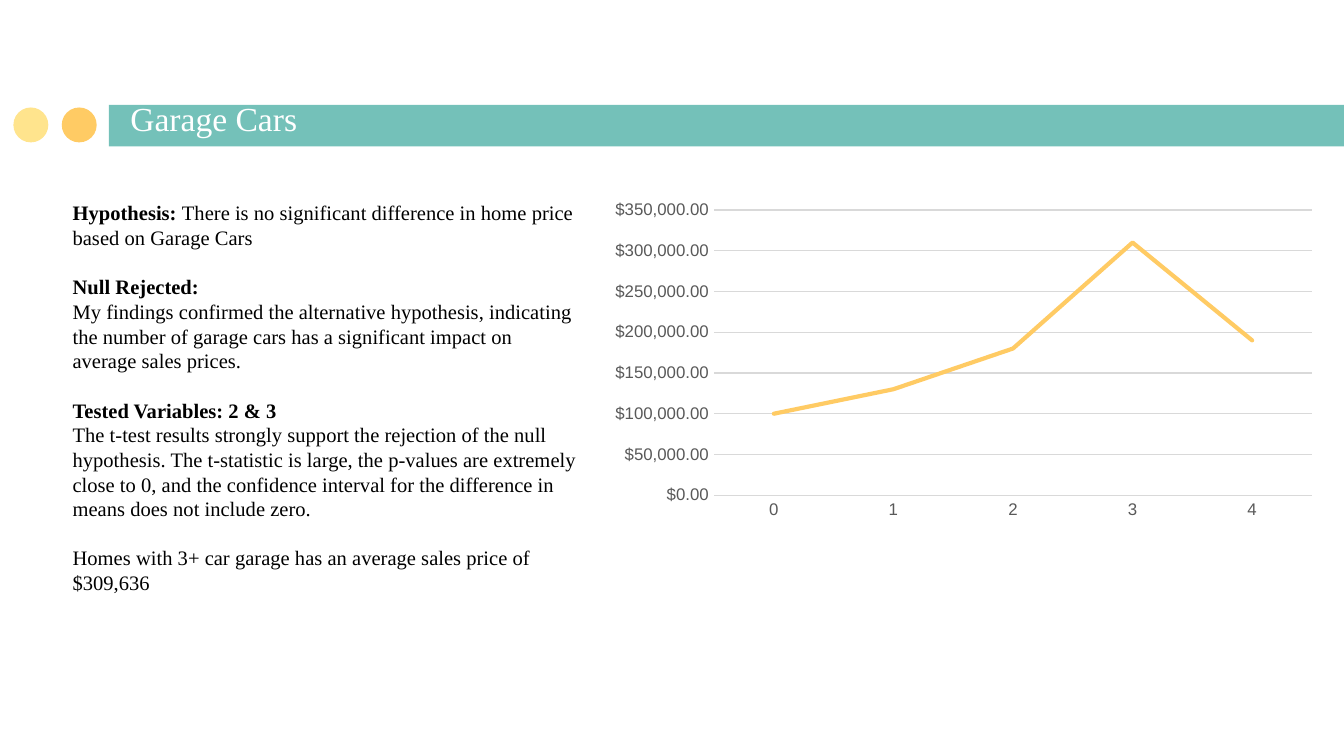
from lxml import etree
from pptx import Presentation
from pptx import util as u
from pptx.chart.data import CategoryChartData
from pptx.dml.color import RGBColor
from pptx.enum import chart as charts, shapes, text
from pptx.oxml.ns import qn

FINDINGS = [  # (heading, text, starts a new section)
    ("Hypothesis: ", "There is no significant difference in home price based on Garage Cars", False),
    ("Null Rejected:", "", True),
    ("", "My findings confirmed the alternative hypothesis, indicating the number of "
         "garage cars has a significant impact on average sales prices.", False),
    ("Tested Variables: 2 & 3", "", True),
    ("", "The t-test results strongly support the rejection of the null hypothesis. "
         "The t-statistic is large, the p-values are extremely close to 0, and the "
         "confidence interval for the difference in means does not include zero.", False),
    ("", "Homes with 3+ car garage has an average sales price of $309,636", True),
]
PRICES = {"0": 100000, "1": 130000, "2": 180000, "3": 310000, "4": 190000}


def color(value):
    return RGBColor.from_string(value)


class SlideBuilder:
    serif, sans = "Times New Roman", "Arial"
    teal, amber, yellow = "74C1B9", "FFCB64", "FFE48D"
    white, black, gray, rule = "FFFFFF", "000000", "595959", "D9D9D9"
    line_height = u.Pt(13.2)

    def __init__(self, slide):
        self.slide = slide

    def place(self, shape, left, top, width, height):
        shape.left, shape.top = u.Inches(left), u.Inches(top)
        shape.width, shape.height = u.Inches(width), u.Inches(height)

    def style(self, font, name, size, fill, bold=False):
        font.name, font.size, font.bold = name, u.Pt(size), bold
        font.color.rgb = color(fill)

    def band_shape(self, kind, left, top, width, height, fill):
        """Add a plain filled shape behind the title."""
        shape = self.slide.shapes.add_shape(kind, *map(u.Inches, (left, top, width, height)))
        shape.fill.solid()
        shape.fill.fore_color.rgb = color(fill)
        shape.line.fill.background()
        shape.shadow.inherit = False
        self.slide.shapes.title.element.addprevious(shape.element)

    def title(self, wording, *area):
        box = self.slide.shapes.title
        self.place(box, *area)
        frame = box.text_frame
        frame.text = wording
        frame.auto_size = text.MSO_AUTO_SIZE.NONE
        frame.vertical_anchor = text.MSO_ANCHOR.BOTTOM
        frame.margin_left = frame.margin_right = u.Inches(0.1)
        frame.margin_top = frame.margin_bottom = u.Inches(0.1)
        para = frame.paragraphs[0]
        para.alignment = text.PP_ALIGN.LEFT
        self.style(para.runs[0].font, self.serif, 18, self.white)

    def body(self, findings, *area):
        box = self.slide.placeholders[1]
        self.place(box, *area)
        frame = box.text_frame
        frame.auto_size = text.MSO_AUTO_SIZE.NONE
        frame.vertical_anchor = text.MSO_ANCHOR.TOP
        for index, (heading, wording, new_section) in enumerate(findings):
            para = frame.add_paragraph() if index else frame.paragraphs[0]
            para.line_spacing = self.line_height
            para.space_before = self.line_height if new_section else u.Pt(0)
            self.remove_bullet(para)
            for part, bold in ((heading, True), (wording, False)):
                if part:
                    span = para.add_run()
                    span.text = part
                    self.style(span.font, self.serif, 11, self.black, bold)

    def remove_bullet(self, para):
        properties = para._p.get_or_add_pPr()
        properties.set("marL", "0")
        properties.set("indent", "0")
        etree.SubElement(properties, qn("a:buNone"))

    def line_chart(self, prices, left, top, width, height):
        data = CategoryChartData()
        data.categories = list(prices)
        data.add_series("Series 1", list(prices.values()))
        chart = self.slide.shapes.add_chart(
            charts.XL_CHART_TYPE.LINE, *map(u.Inches, (left, top, width, height)), data).chart
        chart.has_title = chart.has_legend = False
        self.style(chart.font, self.sans, 10, self.black)
        chart.plots[0].vary_by_categories = False

        series = chart.plots[0].series[0]
        series.smooth = False
        series.marker.style = charts.XL_MARKER_STYLE.NONE
        self.stroke(series.format.line, self.amber, 2.25)
        series.format.line._get_or_add_ln().set("cap", "rnd")

        for axis in (chart.category_axis, chart.value_axis):
            axis.major_tick_mark = axis.minor_tick_mark = charts.XL_TICK_MARK.NONE
            self.style(axis.tick_labels.font, self.sans, 9, self.gray)
        self.stroke(chart.category_axis.format.line, self.rule, 0.75)
        values = chart.value_axis
        values.minimum_scale, values.maximum_scale, values.major_unit = 0, 350000, 50000
        values.format.line.fill.background()
        self.stroke(values.major_gridlines.format.line, self.rule, 0.75)
        values.tick_labels.number_format = '"$"#,##0.00'
        values.tick_labels.number_format_is_linked = False

    def stroke(self, line, fill, width):
        line.color.rgb = color(fill)
        line.width = u.Pt(width)


def main():
    deck = Presentation()
    deck.slide_width, deck.slide_height = u.Inches(10), u.Inches(10 * 9 / 16)
    builder = SlideBuilder(deck.slides.add_slide(deck.slide_layouts[1]))
    builder.band_shape(shapes.MSO_SHAPE.RECTANGLE, 0.81, 0.78, 9.5, 0.31, builder.teal)
    for left, fill in ((0.46, builder.amber), (0.1, builder.yellow)):
        builder.band_shape(shapes.MSO_SHAPE.OVAL, left, 0.8, 0.26, 0.26, fill)
    builder.title("Garage Cars", 0.87, 0.79, 5.48, 0.34)
    builder.body(FINDINGS, 0.44, 1.44, 3.95, 4.56)
    builder.line_chart(PRICES, 4.47, 1.44, 5.4, 2.48)
    deck.save("out.pptx")


if __name__ == "__main__":
    main()
